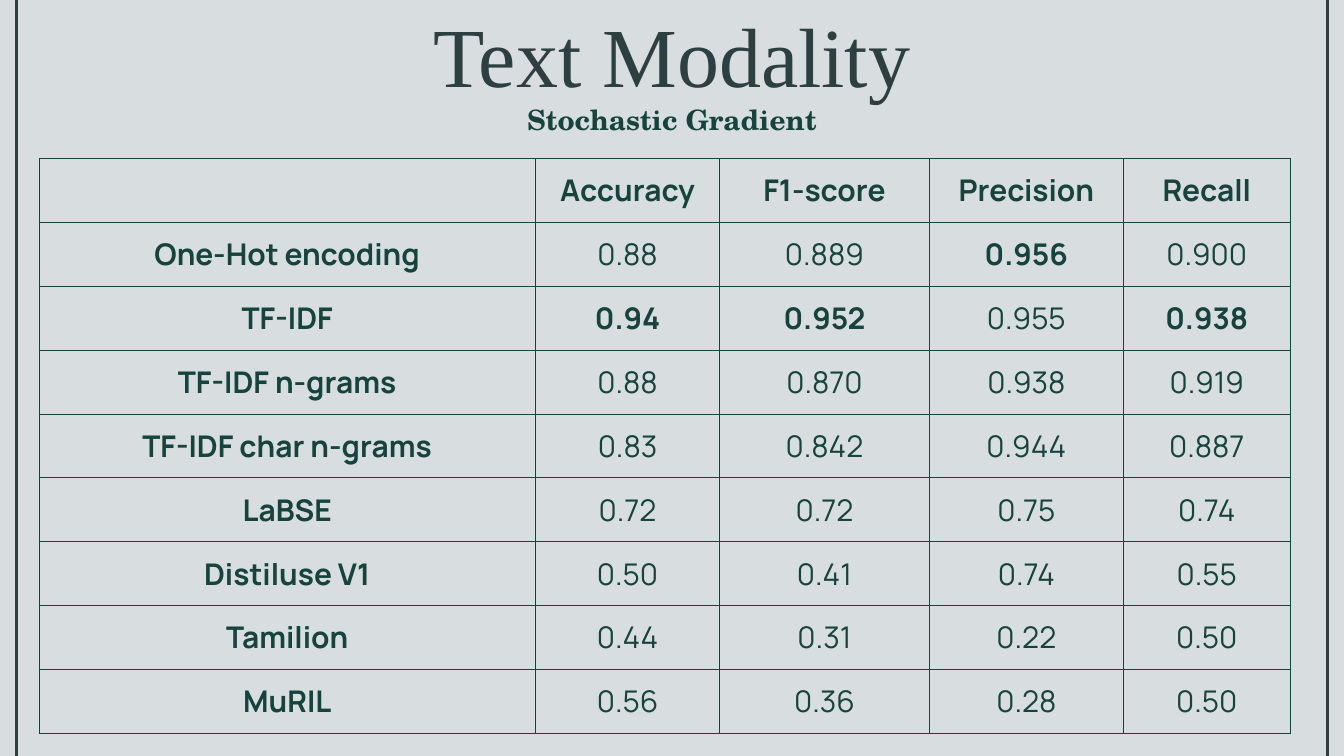
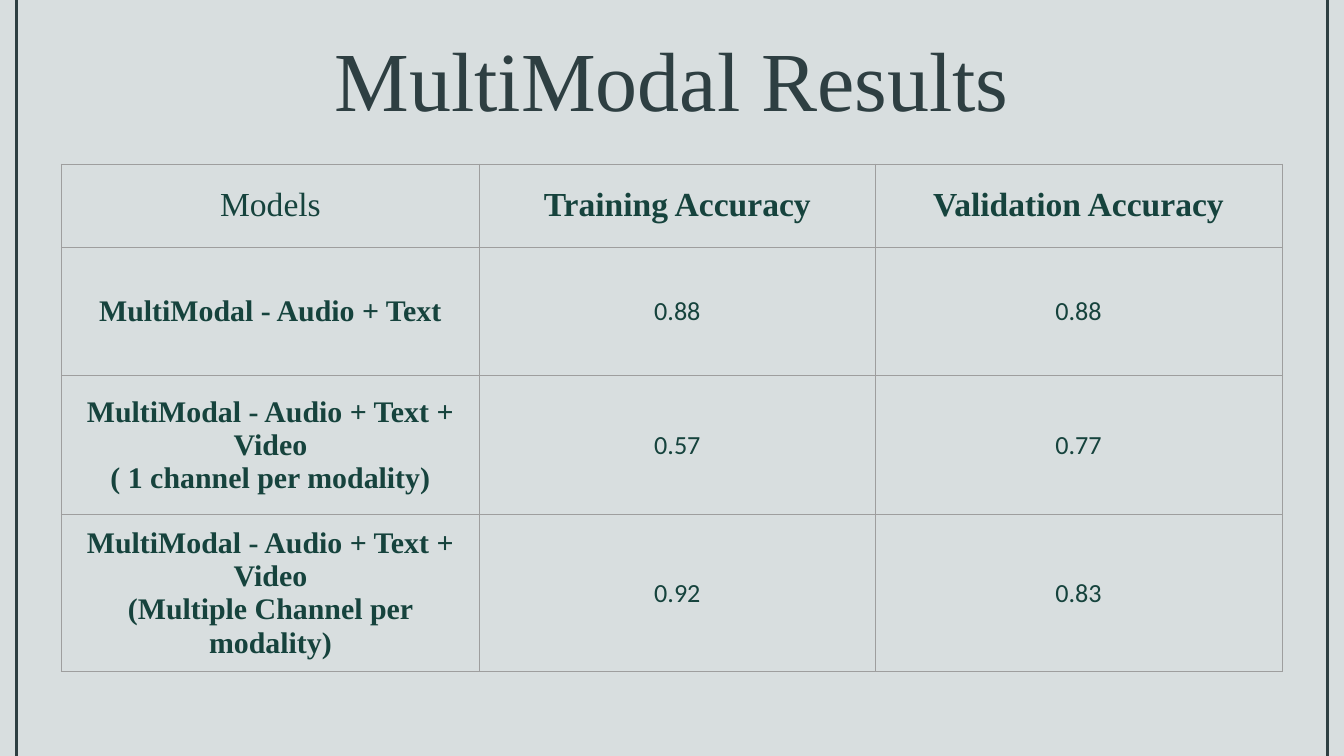
from lxml import etree
from pptx import Presentation
from pptx import util as u
from pptx.dml.color import RGBColor
from pptx.enum import shapes, text
from pptx.oxml import parse_xml
from pptx.oxml.ns import nsdecls, qn

PX = 9144  # EMU per px, 100 px to the inch
W, H = 2000, 1125
COLORS = {"bg": "D8DEDF", "title": "2E3F42", "text": "16433D", "grid": "9E9E9E"}
SERIF, SANS, SCHOLA, BODY = "Times New Roman", "Manrope", "TeX Gyre Schola", "Calibri"
RAIL_INSET = 24


def set_text(p, content, name, size, bold=False, color="text"):
    p.text = content
    p.alignment = text.PP_ALIGN.CENTER
    p.font.name, p.font.size, p.font.bold = name, u.Pt(size), bold
    p.font.color.rgb = RGBColor.from_string(COLORS[color])


def add_grid(s, left, top, widths, heights, margins, border, border_pt, rows):
    """Add a bordered table; each cell is (text, font, size, bold)."""
    frame = s.shapes.add_table(len(heights), len(widths), left * PX, top * PX,
                               sum(widths) * PX, sum(heights) * PX)
    tbl = frame.table
    tbl.first_row = tbl.horz_banding = False
    for col, width in zip(tbl.columns, widths):
        col.width = width * PX
    for row, height, cells in zip(tbl.rows, heights, rows):
        row.height = height * PX
        for cell, (content, name, size, bold) in zip(row.cells, cells):
            cell.margin_left = cell.margin_right = margins[0] * PX
            cell.margin_top = cell.margin_bottom = margins[1] * PX
            cell.vertical_anchor = text.MSO_ANCHOR.MIDDLE
            tc_pr = cell._tc.get_or_add_tcPr()
            for side in "LRTB":
                tc_pr.append(parse_xml(
                    f'<a:ln{side} {nsdecls("a")} w="{int(border_pt * 12700)}"><a:solidFill>'
                    f'<a:srgbClr val="{COLORS[border]}"/></a:solidFill></a:ln{side}>'))
            cell.fill.background()
            set_text(cell.text_frame.paragraphs[0], content, name, size, bold)


prs = Presentation()
prs.slide_width, prs.slide_height = W * PX, H * PX

# Shared frame: background, title and side rails
slides = []
for title, top in (("Text Modality", 0), ("MultiModal Results", 37)):
    s = prs.slides.add_slide(prs.slide_layouts[6])
    slides.append(s)
    s.background.fill.solid()
    s.background.fill.fore_color.rgb = RGBColor.from_string(COLORS["bg"])
    tf = s.shapes.add_textbox(0, top * PX, W * PX, 152 * PX).text_frame
    tf.word_wrap = True
    tf.auto_size = text.MSO_AUTO_SIZE.SHAPE_TO_FIT_TEXT
    tf.margin_left = tf.margin_right = tf.margin_top = tf.margin_bottom = 0
    set_text(tf.paragraphs[0], title, SERIF, 90, color="title")
    tf.paragraphs[0].line_spacing = 1.03
    for x in (RAIL_INSET, W - RAIL_INSET):
        rail = s.shapes.add_connector(shapes.MSO_CONNECTOR.STRAIGHT, x * PX, H * PX, x * PX, 0)
        rail.line.color.rgb = RGBColor.from_string(COLORS["title"])
        rail.line.width = u.Pt(3)
        etree.SubElement(rail._element.spPr, qn("a:effectLst"))

text_slide, multimodal_slide = slides

# Text modality: scores per encoding, best of each column in bold
metrics = ["", "Accuracy", "F1-score", "Precision", "Recall"]
scores = [
    ["One-Hot encoding", "0.88", "0.889", "0.956", "0.900"],
    ["TF-IDF", "0.94", "0.952", "0.955", "0.938"],
    ["TF-IDF n-grams", "0.88", "0.870", "0.938", "0.919"],
    ["TF-IDF char n-grams", "0.83", "0.842", "0.944", "0.887"],
    ["LaBSE", "0.72", "0.72", "0.75", "0.74"],
    ["Distiluse V1", "0.50", "0.41", "0.74", "0.55"],
    ["Tamilion", "0.44", "0.31", "0.22", "0.50"],
    ["MuRIL", "0.56", "0.36", "0.28", "0.50"],
]
best = [max(column, key=float) for column in list(zip(*scores))[1:]]
rows = [[(metric, SANS, 32, True) for metric in metrics]]
for model, *values in scores:
    rows.append([(model, SANS, 32, True)]
                + [(value, SANS, 32, value == top) for value, top in zip(values, best)])
add_grid(text_slide, 58, 236, [739, 274, 312, 289, 248], [95] * len(rows), (8, 4),
         "text", 1, rows)

tf = text_slide.shapes.add_textbox(0, 152 * PX, W * PX, 63 * PX).text_frame
tf.word_wrap = True
tf.margin_left = tf.margin_right = tf.margin_top = tf.margin_bottom = 10 * PX
set_text(tf.paragraphs[0], "Stochastic Gradient", SCHOLA, 30, True)
tf.paragraphs[0].line_spacing = 0.8

# Multimodal results: training and validation accuracy
accuracies = [
    ("MultiModal - Audio + Text", "0.88", "0.88"),
    ("MultiModal - Audio + Text + Video\n( 1 channel per modality)", "0.57", "0.77"),
    ("MultiModal - Audio + Text + Video\n(Multiple Channel per modality)", "0.92", "0.83"),
]
rows = [[("Models", SERIF, 36, False), ("Training Accuracy", SERIF, 36, True),
         ("Validation Accuracy", SERIF, 36, True)]]
for model, *values in accuracies:
    rows.append([(model, SERIF, 32, True)] + [(value, BODY, 28, False) for value in values])
add_grid(multimodal_slide, 91, 244, [623, 588, 606], [124, 191, 207, 215], (10, 10),
         "grid", 0.75, rows)

prs.save("out.pptx")
